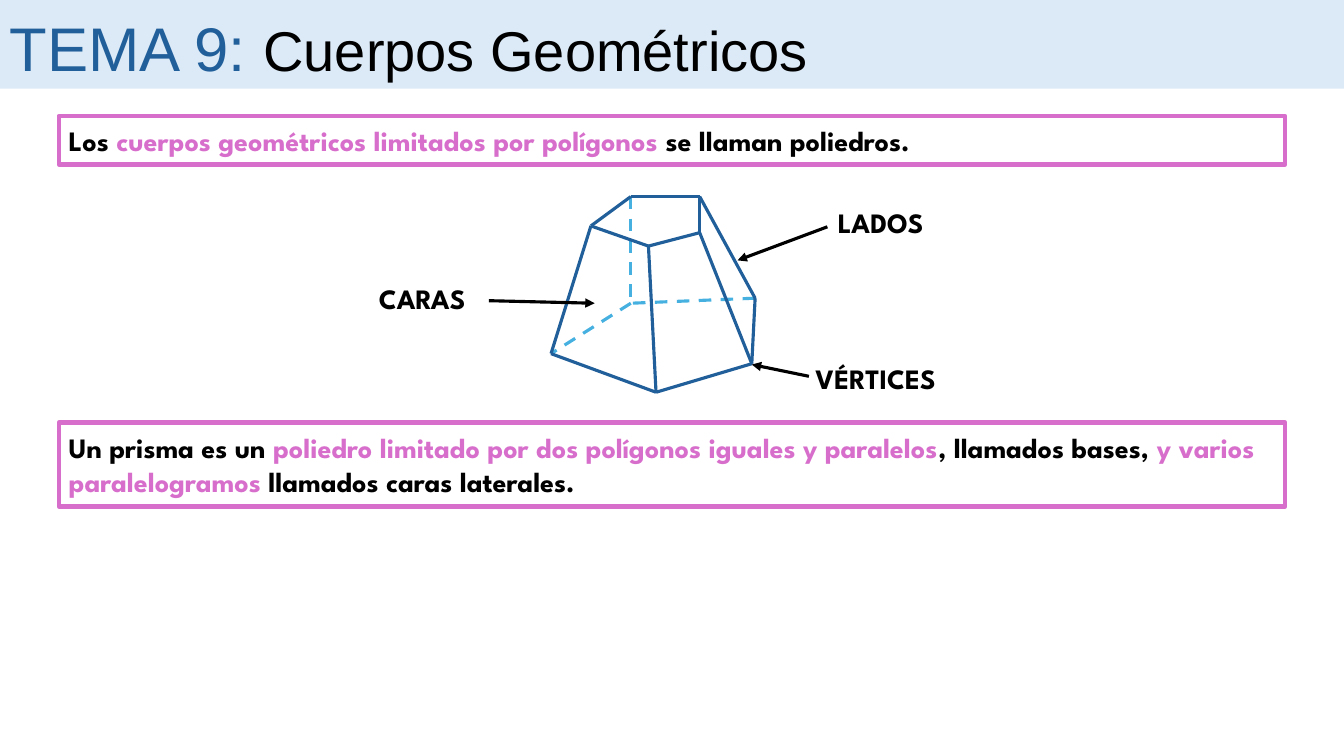
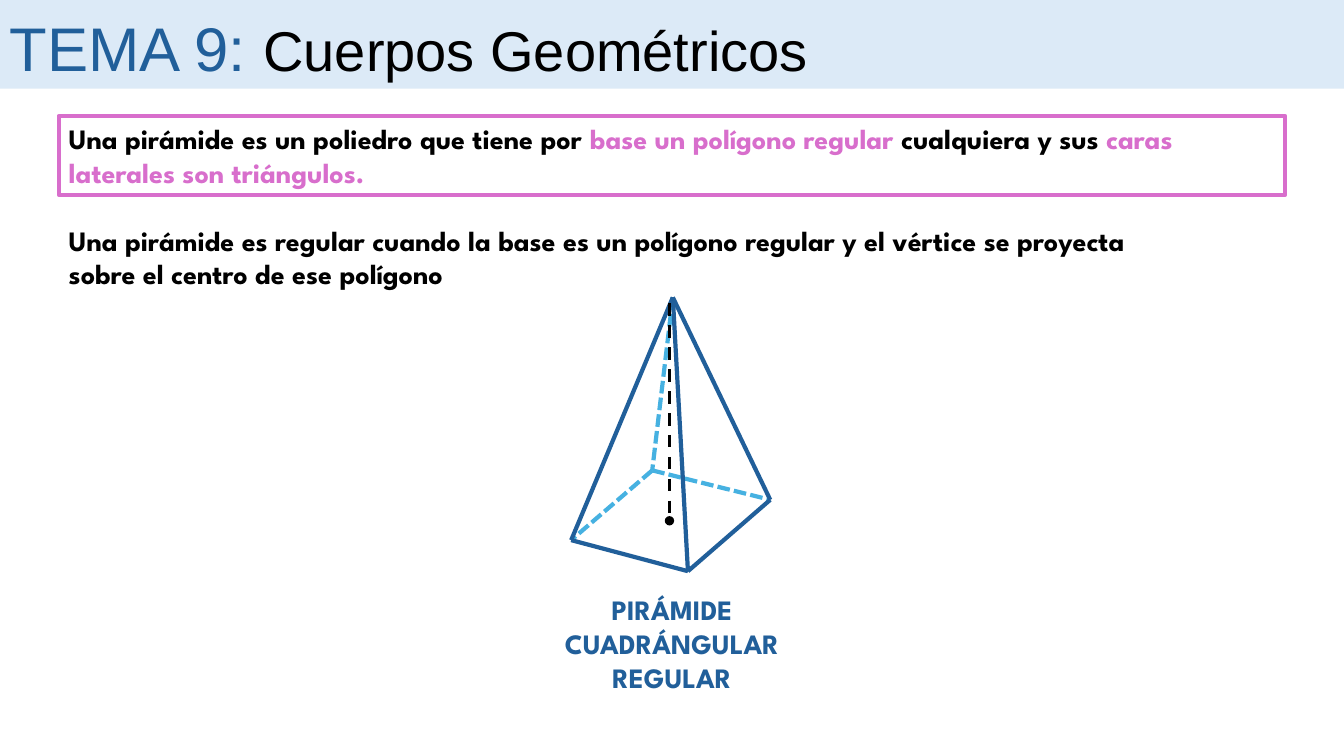
from pptx import Presentation
from pptx.dml.color import RGBColor as RGB
from pptx.enum.dml import MSO_LINE as DASH
from pptx.enum.shapes import MSO_CONNECTOR as CONN, MSO_SHAPE as SHAPE
from pptx.enum.text import MSO_ANCHOR as ANCHOR, PP_ALIGN as ALIGN
from pptx.oxml.ns import qn
from pptx.util import Emu, Inches, Pt
from lxml.etree import SubElement

COLS, ROWS = 160, 90      # square grid cells, 12 to the inch
MARGIN = 7                # columns left and right of the content
WIDTH = COLS - 2 * MARGIN
LABEL_H = 5.3             # rows of a one-line label

COLORS = {
    "band": "DCEAF7",
    "blue": "215F9A",
    "hidden": "46B1E1",
    "pink": "D86ECC",
    "black": "000000",
}


class Deck:
    """Holds the shared style and the slide being drawn."""

    def __init__(self):
        self.prs = Presentation()
        self.cell = Inches(1) // 12
        self.prs.slide_width = self.at(COLS)
        self.prs.slide_height = self.at(ROWS)
        self.s = None

    def at(self, cells):
        return Emu(round(cells * self.cell))

    def color(self, name):
        return RGB.from_string(COLORS[name])

    def rect(self, x, y, w, h):
        sp = self.s.shapes.add_shape(SHAPE.RECTANGLE, *map(self.at, (x, y, w, h)))
        sp.shadow.inherit = False
        return sp

    def style(self, p, size=20, font="League Spartan", bold=True, align=ALIGN.LEFT):
        p.alignment = align
        p.font.name, p.font.bold = font, bold
        if size:
            p.font.size = Pt(size)

    def runs(self, p, parts):
        """Add (text, colour[, size]) parts as runs of one paragraph."""
        for text, color, *size in parts:
            r = p.add_run()
            r.text = text
            r.font.color.rgb = self.color(color)
            if size:
                r.font.size = Pt(size[0])

    def slide(self, title):
        """Start a slide with its title band."""
        self.s = self.prs.slides.add_slide(self.prs.slide_layouts[6])
        sp = self.rect(0, 0, COLS, 10.55)
        sp.fill.solid()
        sp.fill.fore_color.rgb = self.color("band")
        sp.line.fill.background()
        tf = sp.text_frame
        tf.vertical_anchor = ANCHOR.MIDDLE
        tf.margin_top = Inches(0.09)
        p = tf.paragraphs[0]
        self.style(p, size=None, font="Arial", bold=False)
        self.runs(p, title)

    def frame(self, y, h, parts):
        """Pink outlined definition across the content width."""
        sp = self.rect(MARGIN, y, WIDTH, h)
        sp.fill.background()
        sp.line.color.rgb = self.color("pink")
        sp.line.width = Pt(3)
        tf = sp.text_frame
        tf.vertical_anchor = ANCHOR.MIDDLE
        p = tf.paragraphs[0]
        self.style(p)
        self.runs(p, parts)

    def text(self, x, y, w, h, lines, color="black", align=ALIGN.CENTER):
        tf = self.s.shapes.add_textbox(*map(self.at, (x, y, w, h))).text_frame
        tf.word_wrap = True
        for i, line in enumerate(lines):
            p = tf.add_paragraph() if i else tf.paragraphs[0]
            self.style(p, align=align)
            p.font.color.rgb = self.color(color)
            p.text = line

    def line(self, start, end, color="black", width=2.25, dash=None, tail=None):
        ends = map(self.at, (*start, *end))
        cxn = self.s.shapes.add_connector(CONN.STRAIGHT, *ends)
        cxn.line.color.rgb = self.color(color)
        cxn.line.width = Pt(width)
        if dash:
            cxn.line.dash_style = dash
        if tail:
            ln = cxn.line.fill._xPr
            SubElement(ln, qn("a:tailEnd"), type=tail)
        SubElement(cxn._element.spPr, qn("a:effectLst"))

    def solid(self, points, hidden, visible, width, dash):
        """Draw a polyhedron; each edge is a pair of vertex letters."""
        for a, b in hidden.split():
            self.line(points[a], points[b], "hidden", width, dash)
        for a, b in visible.split():
            self.line(points[a], points[b], "blue", width)


TITLE = [("TEMA 9: ", "blue", 44), ("Cuerpos Geométricos", "black", 40)]

# Truncated pyramid: A-E top face, F-J base
FRUSTUM = {
    "A": (75.1, 23.4), "B": (83.3, 23.4), "C": (70.35, 26.9),
    "D": (77.2, 29.3), "E": (83.3, 27.7),
    "F": (75.1, 36.1), "G": (89.9, 35.5), "H": (65.6, 42.1),
    "I": (78.1, 46.7), "J": (89.5, 43.3),
}

# Square pyramid: V apex, A-D base
PYRAMID = {
    "V": (80.1, 35.4), "A": (77.65, 56), "B": (91.7, 59.5),
    "C": (81.9, 68), "D": (68, 64.3),
}

# Label, its left, top and width, then the arrow's two ends
PARTS = [
    ("CARAS", (41.2, 32.9, 18.1), (58.2, 35.8), (70.8, 36.1)),
    ("LADOS", (95.8, 23.9, 18.1), (98.5, 27), (87.8, 31)),
    ("VÉRTICES", (93.8, 42.4, 20.9), (96.3, 44.8), (89.5, 43.4)),
]


def polyhedra(deck):
    deck.slide(TITLE)
    deck.frame(13.8, 5.8, [
        ("Los ", "black"),
        ("cuerpos geométricos limitados por polígonos ", "pink"),
        ("se llaman poliedros.", "black"),
    ])
    deck.solid(FRUSTUM, "AF GF FH", "CH DI EJ CD AB DE EB GB CA HI IJ JG",
               2.25, DASH.DASH)
    for label, box, start, end in PARTS:
        deck.line(start, end, tail="triangle")
        deck.text(*box, LABEL_H, [label])
    deck.frame(50.3, 10, [
        ("Un prisma es un ", "black"),
        ("poliedro limitado por dos polígonos iguales y paralelos", "pink"),
        (", llamados bases, ", "black"),
        ("y varios paralelogramos ", "pink"),
        ("llamados caras laterales.", "black"),
    ])


def pyramid(deck):
    deck.slide(TITLE)
    deck.frame(13.8, 9.4, [
        ("Una pirámide es un poliedro que tiene por ", "black"),
        ("base un polígono regular ", "pink"),
        ("cualquiera y sus ", "black"),
        ("caras laterales son triángulos.", "pink"),
    ])
    deck.text(MARGIN, 26, WIDTH, 9.3, [
        "Una pirámide es regular cuando la base es un polígono regular y el vértice se proyecta",
        "sobre el centro de ese polígono",
    ], align=ALIGN.LEFT)
    deck.solid(PYRAMID, "VA AD AB", "VB VC VD CD BC", 3, DASH.SQUARE_DOT)
    # Height, from the apex to the centre of the base
    deck.line((79.7, 36.1), (79.7, 62), dash=DASH.DASH, tail="oval")
    deck.text(62.4, 70, 35.2, 13.3, ["PIRÁMIDE CUADRÁNGULAR REGULAR"], "blue")


def main():
    deck = Deck()
    polyhedra(deck)
    pyramid(deck)
    deck.prs.save("out.pptx")


if __name__ == "__main__":
    main()
